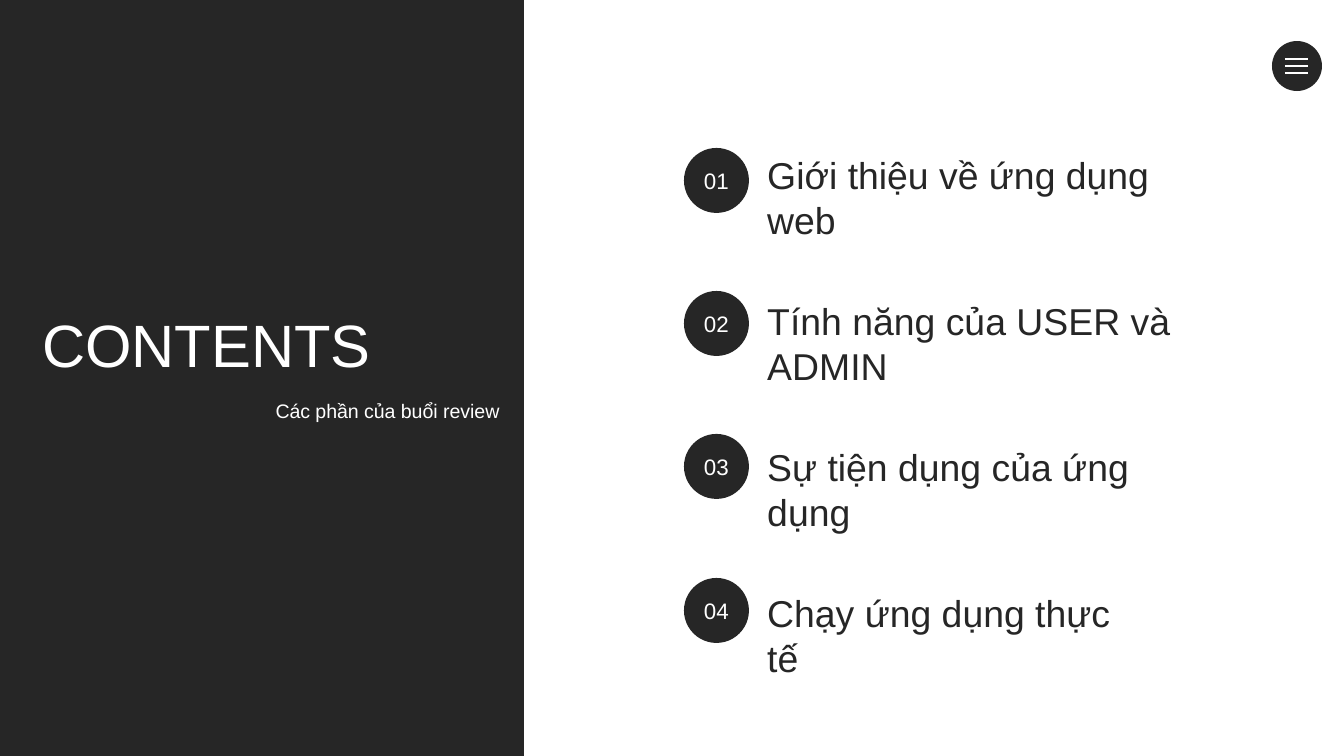
"""Build a contents slide with a dark title panel and four numbered topics."""
import dataclasses

import lxml.etree
import pptx
import pptx.dml.color
import pptx.enum.shapes
import pptx.enum.text
import pptx.oxml.ns
import pptx.util

EMU_PER_PX = 914400 / 134.4
SHAPE = pptx.enum.shapes.MSO_SHAPE
ALIGN = pptx.enum.text.PP_ALIGN
TOPICS = [
    ("Giới thiệu về ứng dụng web", 480),
    ("Tính năng của USER và ADMIN", 540),
    ("Sự tiện dụng của ứng dụng", 475),
    ("Chạy ứng dụng thực tế", 400),
]


@dataclasses.dataclass(frozen=True)
class Theme:
    """Colours, font and type sizes of the slide."""
    dark: str = "262626"
    light: str = "FFFFFF"
    font: str = "Arial"
    title: float = 32
    subtitle: float = 10.5
    topic: float = 20
    number: float = 12


THEME = Theme()


def px(*lengths):
    """Turn pixel lengths into EMU."""
    return [pptx.util.Emu(round(n * EMU_PER_PX)) for n in lengths]


def rgb(colour):
    """Return the colour object for a hex string."""
    return pptx.dml.color.RGBColor.from_string(colour)


def write(tf, text, size, colour, align=ALIGN.LEFT, spacing=None):
    """Set one formatted paragraph in a text frame."""
    tf.text = text
    p = tf.paragraphs[0]
    p.alignment = align
    p.line_spacing = spacing
    font = p.runs[0].font
    font.name = THEME.font
    font.size = pptx.util.Pt(size)
    font.color.rgb = rgb(colour)


def add_shape(shapes, kind, *box):
    """Add a flat dark shape."""
    sp = shapes.add_shape(kind, *px(*box))
    sp.shadow.inherit = False
    sp.fill.solid()
    sp.fill.fore_color.rgb = rgb(THEME.dark)
    sp.line.fill.background()
    return sp


def add_text(s, box, text, size, colour, **layout):
    """Add a wrapping text box that grows with its text."""
    tf = s.shapes.add_textbox(*px(*box)).text_frame
    tf.word_wrap = True
    tf.auto_size = pptx.enum.text.MSO_AUTO_SIZE.SHAPE_TO_FIT_TEXT
    write(tf, text, size, colour, **layout)


def add_number(s, left, top, text):
    """Add a dark circle holding a topic number."""
    tf = add_shape(s.shapes, SHAPE.OVAL, left, top, 65, 65).text_frame
    tf.margin_left, tf.margin_top, tf.margin_right, tf.margin_bottom = px(9, 5, 9, 5)
    tf.vertical_anchor = pptx.enum.text.MSO_ANCHOR.MIDDLE
    write(tf, text, THEME.number, THEME.light, align=ALIGN.CENTER)


def add_menu(s):
    """Add the round menu button with its three bars."""
    shapes = s.shapes.add_group_shape().shapes
    add_shape(shapes, SHAPE.OVAL, 1272, 41, 50, 50)
    for y in range(59, 74, 7):
        bar = shapes.add_connector(
            pptx.enum.shapes.MSO_CONNECTOR.STRAIGHT, *px(1285, y, 1308, y))
        bar.line.color.rgb = rgb(THEME.light)
        bar.line.width = pptx.util.Pt(1)
        lxml.etree.SubElement(bar._element.spPr, pptx.oxml.ns.qn("a:effectLst"))


def main():
    """Compose and save the slide."""
    prs = pptx.Presentation()
    prs.slide_width, prs.slide_height = px(1344, 756)
    s = prs.slides.add_slide(prs.slide_layouts[6])
    add_menu(s)
    add_shape(s.shapes, SHAPE.RECTANGLE, 0, 0, 524, 756)
    add_text(s, (29, 301, 380, 86), "CONTENTS", THEME.title, THEME.light)
    add_text(s, (39, 381, 474, 48), "Các phần của buổi review",
             THEME.subtitle, THEME.light, align=ALIGN.RIGHT, spacing=1.5)
    for i, (topic, width) in enumerate(TOPICS):
        add_text(s, (754, 146 + 146 * i, width, 104), topic, THEME.topic, THEME.dark)
        add_number(s, 684, 148 + 430 * i // 3, f"{i + 1:02}")
    prs.save("out.pptx")


if __name__ == "__main__":
    main()
